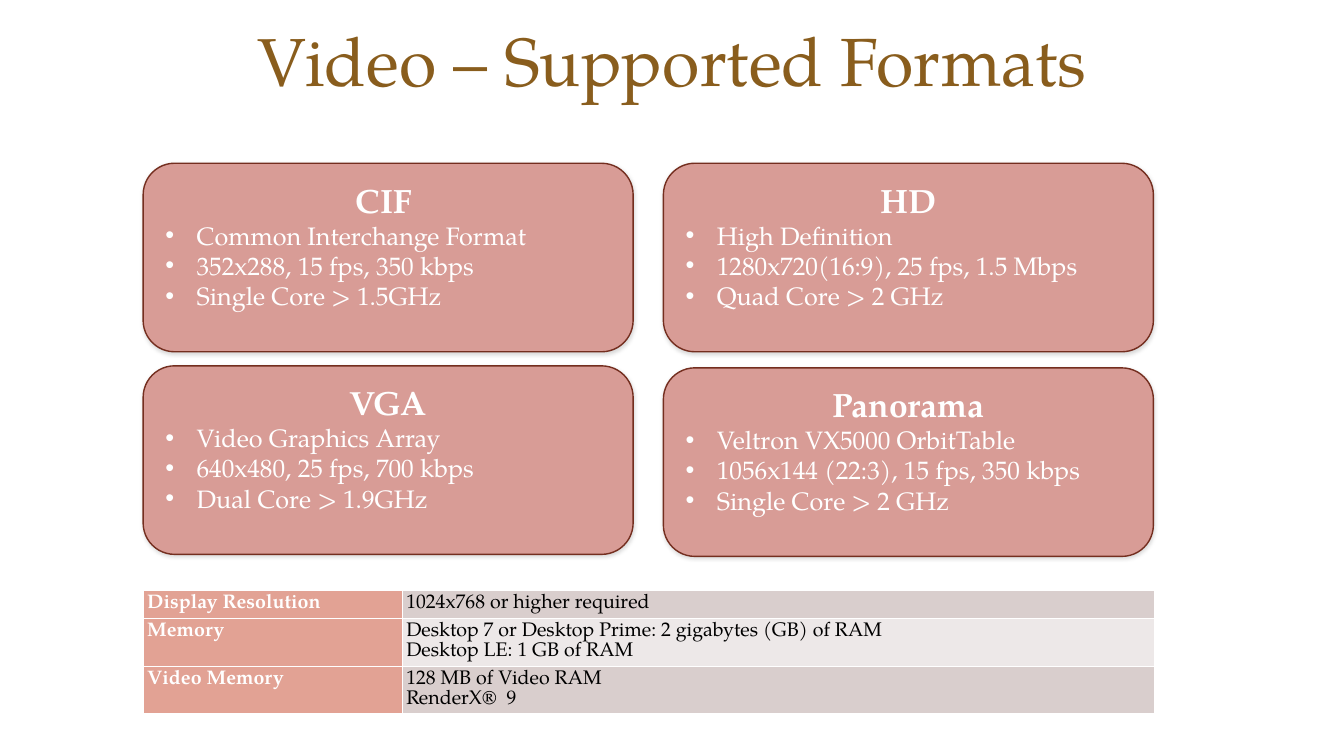
from lxml import etree
from pptx import Presentation, util as u
from pptx.dml.color import RGBColor
from pptx.enum import shapes, text
from pptx.oxml import parse_xml
from pptx.oxml.ns import nsdecls, qn

TITLE = "Video – Supported Formats"
CARDS = [  # column, top, heading, bullets
    (0, 1.62, "CIF ", ["Common Interchange Format", "352x288, 15 fps, 350 kbps",
                       "Single Core > 1.5GHz "]),
    (0, 3.63, "VGA", ["Video Graphics Array", "640x480, 25 fps, 700 kbps",
                      "Dual Core > 1.9GHz"]),
    (1, 1.62, "HD", ["High Definition ", "1280x720(16:9), 25 fps, 1.5 Mbps",
                     "Quad Core > 2 GHz"]),
    (1, 3.65, "Panorama", ["Veltron VX5000 OrbitTable", "1056x144 (22:3), 15 fps, 350 kbps",
                           "Single Core > 2 GHz"]),
]
REQUIREMENTS = [
    ("Display Resolution", ["1024x768 or higher required"]),
    ("Memory", ["Desktop 7 or Desktop Prime: 2 gigabytes (GB) of RAM",
                "Desktop\u00a0LE: 1 GB of RAM"]),
    ("Video Memory", ["128 MB of Video RAM", "RenderX®\u00a0 9"]),
]
COLORS = {"title": "895D1D", "card": "D89C96", "edge": "742E1F", "white": "FFFFFF",
          "black": "000000", "label": "E2A294", "odd": "D9CECD", "even": "EDE8E8"}
FONT = "TeX Gyre Pagella"
LEFT, CARD_W, CARD_H, COL_STEP = 1.42, 4.86, 1.87, 5.16
TABLE_TOP, COL_WIDTHS = 5.86, (2.57, 7.46)
CELL_INSET, LINE_H = 0.04, 0.19


def rgb(name):
    """Return a named colour."""
    return RGBColor.from_string(COLORS[name])


def add_run(p, words, size, color, bold=False):
    """Add one formatted run to a paragraph."""
    r = p.add_run()
    r.text = words
    r.font.name, r.font.size, r.font.bold = FONT, u.Pt(size), bold
    r.font.color.rgb = rgb(color)


def add_bullet(p):
    """Give a paragraph a hanging round bullet."""
    pPr = p._p.get_or_add_pPr()
    pPr.set("marL", str(u.Inches(0.31)))
    pPr.set("indent", str(-u.Inches(0.31)))
    etree.SubElement(pPr, qn("a:buFont"), typeface="Arial")
    etree.SubElement(pPr, qn("a:buChar"), char="•")


def add_shadow(sp):
    """Give a shape a faint shadow below it."""
    sp.shadow.inherit = False
    effects = sp._element.spPr.find(qn("a:effectLst"))
    effects.append(parse_xml(
        f'<a:outerShdw {nsdecls("a")} blurRad="{u.Pt(3)}" dist="{u.Pt(1)}" dir="5400000" '
        f'rotWithShape="0"><a:srgbClr val="{COLORS["black"]}"><a:alpha val="15000"/>'
        '</a:srgbClr></a:outerShdw>'))


def add_card(s, col, top, heading, bullets):
    """Draw one format card with a heading and bullets."""
    sp = s.shapes.add_shape(
        shapes.MSO_SHAPE.ROUNDED_RECTANGLE, u.Inches(LEFT + col * COL_STEP),
        u.Inches(top), u.Inches(CARD_W), u.Inches(CARD_H))
    sp.fill.solid()
    sp.fill.fore_color.rgb = rgb("card")
    sp.line.color.rgb, sp.line.width = rgb("edge"), u.Pt(1)
    add_shadow(sp)
    tf = sp.text_frame
    tf.word_wrap, tf.vertical_anchor = True, text.MSO_ANCHOR.TOP
    tf.margin_left = tf.margin_right = u.Inches(0.13)
    tf.margin_top = tf.margin_bottom = u.Inches(0.07)
    p = tf.paragraphs[0]
    p.alignment = text.PP_ALIGN.CENTER
    add_run(p, heading, 24, "white", True)
    for line in bullets:
        p = tf.add_paragraph()
        p.alignment = text.PP_ALIGN.LEFT
        add_bullet(p)
        add_run(p, line, 18, "white")


def fill_cell(cell, lines, fill, color, bold):
    """Write a table cell with its fill and white borders."""
    cell.margin_left = cell.margin_right = u.Inches(CELL_INSET)
    cell.margin_top = cell.margin_bottom = u.Inches(CELL_INSET)
    tf = cell.text_frame
    for i, line in enumerate(lines):
        p = tf.add_paragraph() if i else tf.paragraphs[0]
        add_run(p, line, 14, color, bold)
    tcPr = cell._tc.get_or_add_tcPr()
    for side in ("lnL", "lnR", "lnT", "lnB"):
        tcPr.append(parse_xml(
            f'<a:{side} {nsdecls("a")} w="{u.Pt(1)}"><a:solidFill>'
            f'<a:srgbClr val="{COLORS["white"]}"/></a:solidFill></a:{side}>'))
    cell.fill.solid()
    cell.fill.fore_color.rgb = rgb(fill)


def add_requirements(s):
    """Draw the table of system requirements."""
    heights = [len(lines) * LINE_H + 2 * CELL_INSET for _, lines in REQUIREMENTS]
    table = s.shapes.add_table(
        len(REQUIREMENTS), 2, u.Inches(LEFT), u.Inches(TABLE_TOP),
        u.Inches(sum(COL_WIDTHS)), u.Inches(sum(heights))).table
    table.first_row = table.horz_banding = False
    for col, width in zip(table.columns, COL_WIDTHS):
        col.width = u.Inches(width)
    for i, (label, lines) in enumerate(REQUIREMENTS):
        table.rows[i].height = u.Inches(heights[i])
        fill_cell(table.cell(i, 0), [label], "label", "white", True)
        fill_cell(table.cell(i, 1), lines, "even" if i % 2 else "odd", "black", False)


prs = Presentation()
prs.slide_width, prs.slide_height = u.Inches(13.33), u.Inches(7.5)
s = prs.slides.add_slide(prs.slide_layouts[5])
title = s.shapes.title
title.left, title.top = u.Inches(0.57), u.Inches(0.25)
title.width, title.height = u.Inches(12.19), u.Inches(0.67)
tf = title.text_frame
tf.word_wrap, tf.auto_size = True, text.MSO_AUTO_SIZE.NONE
tf.vertical_anchor = text.MSO_ANCHOR.MIDDLE
tf.paragraphs[0].alignment = text.PP_ALIGN.CENTER
add_run(tf.paragraphs[0], TITLE, 48.6, "title")
add_requirements(s)
for card in CARDS:
    add_card(s, *card)
prs.save("out.pptx")
